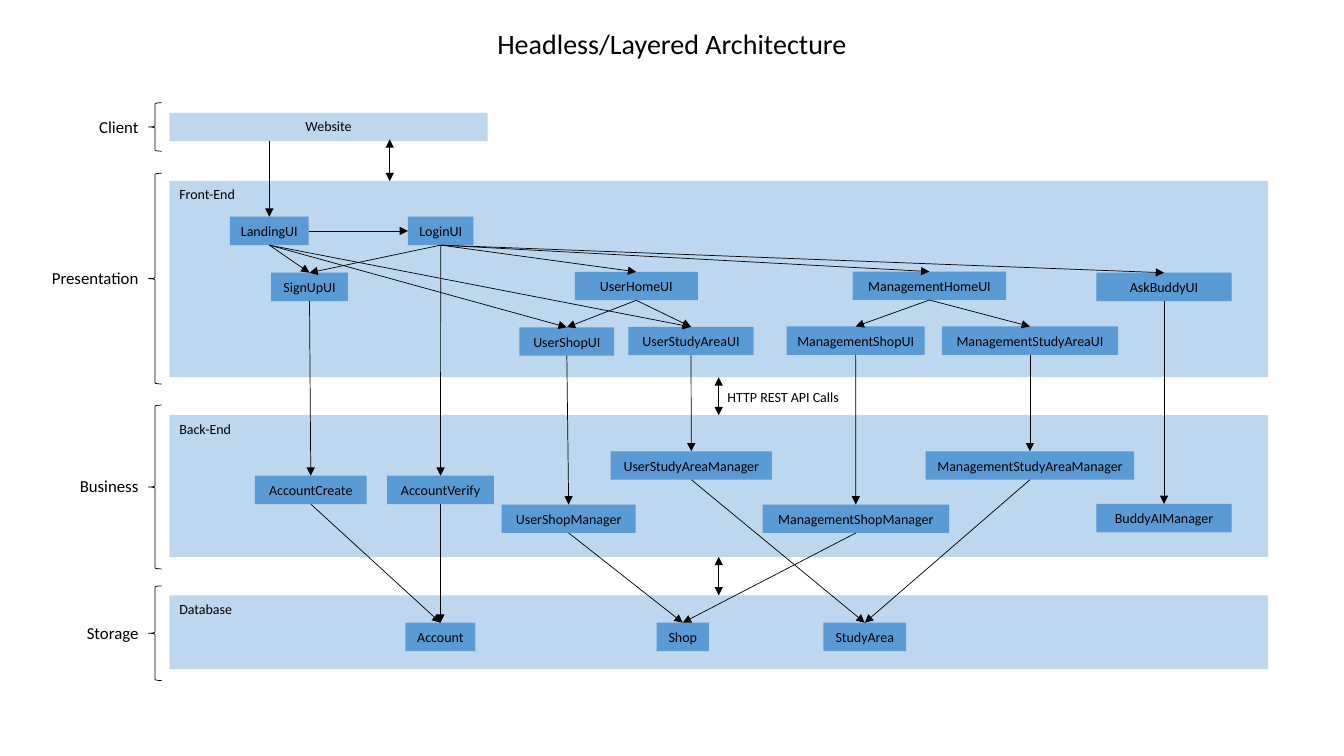
from dataclasses import dataclass
from lxml.etree import SubElement
from pptx import Presentation
from pptx.dml.color import RGBColor
from pptx.enum.shapes import MSO_CONNECTOR, MSO_SHAPE
from pptx.enum.text import MSO_ANCHOR, MSO_AUTO_SIZE, PP_ALIGN
from pptx.oxml.ns import qn
from pptx.util import Pt


@dataclass(frozen=True)
class Theme:
    font: str = "Calibri"
    ink: RGBColor = RGBColor(0x00, 0x00, 0x00)
    band: RGBColor = RGBColor(0xBD, 0xD7, 0xEE)
    node: RGBColor = RGBColor(0x5B, 0x9B, 0xD5)
    title: float = 20
    label: float = 12
    body: float = 10
    line: float = 0.5


THEME = Theme()
TOP, LEFT, BOTTOM, RIGHT = range(4)
BAND_LEFT, BAND_WIDTH = 121, 784.8
NODE_HEIGHT = 20.3
WEBSITE_TOP = 80.6

# name: top, height
BANDS = {"Front-End": (129.2, 140.3), "Back-End": (296.6, 101.2), "Database": (425.3, 52.6)}

# label, label top, brace top, brace height
LAYERS = [
    ("Client", 80, 73.4, 34.6),
    ("Presentation", 188, 123.8, 150.5),
    ("Business", 336.4, 289.4, 117),
    ("Storage", 441.2, 418.5, 67.6),
]

# name: centre x, top, width
NODES = {
    "LandingUI": (192.4, 154.8, 56.3),
    "LoginUI": (314.8, 154.8, 46.8),
    "SignUpUI": (221.1, 194.8, 54.8),
    "UserHomeUI": (454.5, 194.2, 87.9),
    "ManagementHomeUI": (663.9, 194, 109.6),
    "AskBuddyUI": (831.5, 194.8, 96.5),
    "UserShopUI": (404.9, 233.8, 67.8),
    "UserStudyAreaUI": (493.6, 233.5, 89.4),
    "ManagementShopUI": (611.2, 233.2, 98.5),
    "ManagementStudyAreaUI": (735.7, 233.2, 126),
    "AccountCreate": (222, 339.8, 80),
    "AccountVerify": (314.7, 339.8, 76.3),
    "UserShopManager": (406.2, 360.4, 95.8),
    "UserStudyAreaManager": (493.8, 322.4, 115.2),
    "ManagementShopManager": (611.3, 360.4, 133.2),
    "ManagementStudyAreaManager": (735.7, 322.4, 149),
    "BuddyAIManager": (831.5, 360, 96.5),
    "Account": (314.6, 444.8, 50),
    "Shop": (487.7, 444.8, 37.4),
    "StudyArea": (617.7, 444.8, 59),
}

# each runs from the bottom of the source to the top of its targets
CALLS = {
    "LandingUI": ["SignUpUI", "UserShopUI", "UserStudyAreaUI"],
    "LoginUI": ["SignUpUI", "AccountVerify", "UserHomeUI", "ManagementHomeUI", "AskBuddyUI"],
    "SignUpUI": ["AccountCreate"],
    "UserHomeUI": ["UserShopUI", "UserStudyAreaUI"],
    "ManagementHomeUI": ["ManagementShopUI", "ManagementStudyAreaUI"],
    "AskBuddyUI": ["BuddyAIManager"],
    "UserShopUI": ["UserShopManager"],
    "UserStudyAreaUI": ["UserStudyAreaManager"],
    "ManagementShopUI": ["ManagementShopManager"],
    "ManagementStudyAreaUI": ["ManagementStudyAreaManager"],
    "AccountCreate": ["Account"],
    "AccountVerify": ["Account"],
    "UserShopManager": ["Shop"],
    "ManagementShopManager": ["Shop"],
    "UserStudyAreaManager": ["StudyArea"],
    "ManagementStudyAreaManager": ["StudyArea"],
}


def put_text(sp, text, size=THEME.body, align=PP_ALIGN.LEFT, anchor=MSO_ANCHOR.TOP,
             wrap=True, spacing=None):
    tf = sp.text_frame
    tf.word_wrap = wrap
    tf.auto_size = MSO_AUTO_SIZE.NONE
    tf.vertical_anchor = anchor
    p = tf.paragraphs[0]
    p.alignment = align
    p.line_spacing = spacing
    r = p.add_run()
    r.text = text
    r.font.name = THEME.font
    r.font.size = Pt(size)
    r.font.color.rgb = THEME.ink


def add_title(s, text):
    sp = s.shapes.title
    sp.left, sp.top, sp.width, sp.height = Pt(120), Pt(18), Pt(720), Pt(28.8)
    put_text(sp, text, size=THEME.title, align=PP_ALIGN.CENTER,
             anchor=MSO_ANCHOR.MIDDLE, spacing=0.9)


def add_box(s, text, x, y, w, h, fill, **fmt):
    sp = s.shapes.add_shape(MSO_SHAPE.RECTANGLE, Pt(x), Pt(y), Pt(w), Pt(h))
    sp.shadow.inherit = False
    sp.fill.solid()
    sp.fill.fore_color.rgb = fill
    sp.line.fill.background()
    put_text(sp, text, **fmt)
    return sp


def add_label(s, text, x, y, w, h, **fmt):
    sp = s.shapes.add_textbox(Pt(x), Pt(y), Pt(w), Pt(h))
    put_text(sp, text, align=PP_ALIGN.RIGHT, **fmt)


def add_brace(s, x, y, w, h):
    sp = s.shapes.add_shape(MSO_SHAPE.LEFT_BRACE, Pt(x), Pt(y), Pt(w), Pt(h))
    sp.shadow.inherit = False
    sp.fill.background()
    sp.line.color.rgb = THEME.ink
    sp.line.width = Pt(THEME.line)


def add_arrow(s, start, end, both=False):
    """Each end is either a point (x, y) or a (shape, side) pair."""
    cx = s.shapes.add_connector(MSO_CONNECTOR.STRAIGHT, 0, 0, 0, 0)
    if hasattr(start[0], "shape_id"):
        cx.begin_connect(*start)
    else:
        cx.begin_x, cx.begin_y = Pt(start[0]), Pt(start[1])
    if hasattr(end[0], "shape_id"):
        cx.end_connect(*end)
    else:
        cx.end_x, cx.end_y = Pt(end[0]), Pt(end[1])
    cx.line.color.rgb = THEME.ink
    cx.line.width = Pt(THEME.line)
    ln = cx.line._get_or_add_ln()
    for tag in ["a:headEnd", "a:tailEnd"] if both else ["a:tailEnd"]:
        SubElement(ln, qn(tag), type="triangle")
    SubElement(cx._element.spPr, qn("a:effectLst"))


def main():
    prs = Presentation()
    prs.slide_width, prs.slide_height = Pt(960), Pt(540)
    s = prs.slides.add_slide(prs.slide_layouts[5])
    add_title(s, "Headless/Layered Architecture")

    # Bands and the website bar
    bands = {name: add_box(s, name, BAND_LEFT, y, BAND_WIDTH, h, THEME.band)
             for name, (y, h) in BANDS.items()}
    add_box(s, "Website", BAND_LEFT, WEBSITE_TOP, 227.4, NODE_HEIGHT, THEME.band,
            align=PP_ALIGN.CENTER)

    # Components
    nodes = {name: add_box(s, name, mid - w / 2, y, w, NODE_HEIGHT, THEME.node,
                           align=PP_ALIGN.CENTER, anchor=MSO_ANCHOR.MIDDLE)
             for name, (mid, y, w) in NODES.items()}

    # Calls between components
    for source, targets in CALLS.items():
        for target in targets:
            add_arrow(s, (nodes[source], BOTTOM), (nodes[target], TOP))
    add_arrow(s, (nodes["LandingUI"], RIGHT), (nodes["LoginUI"], LEFT))
    add_arrow(s, (NODES["LandingUI"][0], WEBSITE_TOP + NODE_HEIGHT), (nodes["LandingUI"], TOP))

    # Traffic between layers
    add_arrow(s, (278.4, 99.5), (278.4, 129.4), both=True)
    for upper, lower in [("Front-End", "Back-End"), ("Back-End", "Database")]:
        add_arrow(s, (bands[upper], BOTTOM), (bands[lower], TOP), both=True)
    add_label(s, "HTTP REST API Calls", 511.2, 274.3, 95, 19.4, wrap=False)

    # Layer names and braces
    for text, label_top, brace_top, brace_height in LAYERS:
        add_label(s, text, 25.7, label_top, 80.3, 21.8, size=THEME.label)
        add_brace(s, 106, brace_top, 9.4, brace_height)

    prs.save("out.pptx")


if __name__ == "__main__":
    main()
